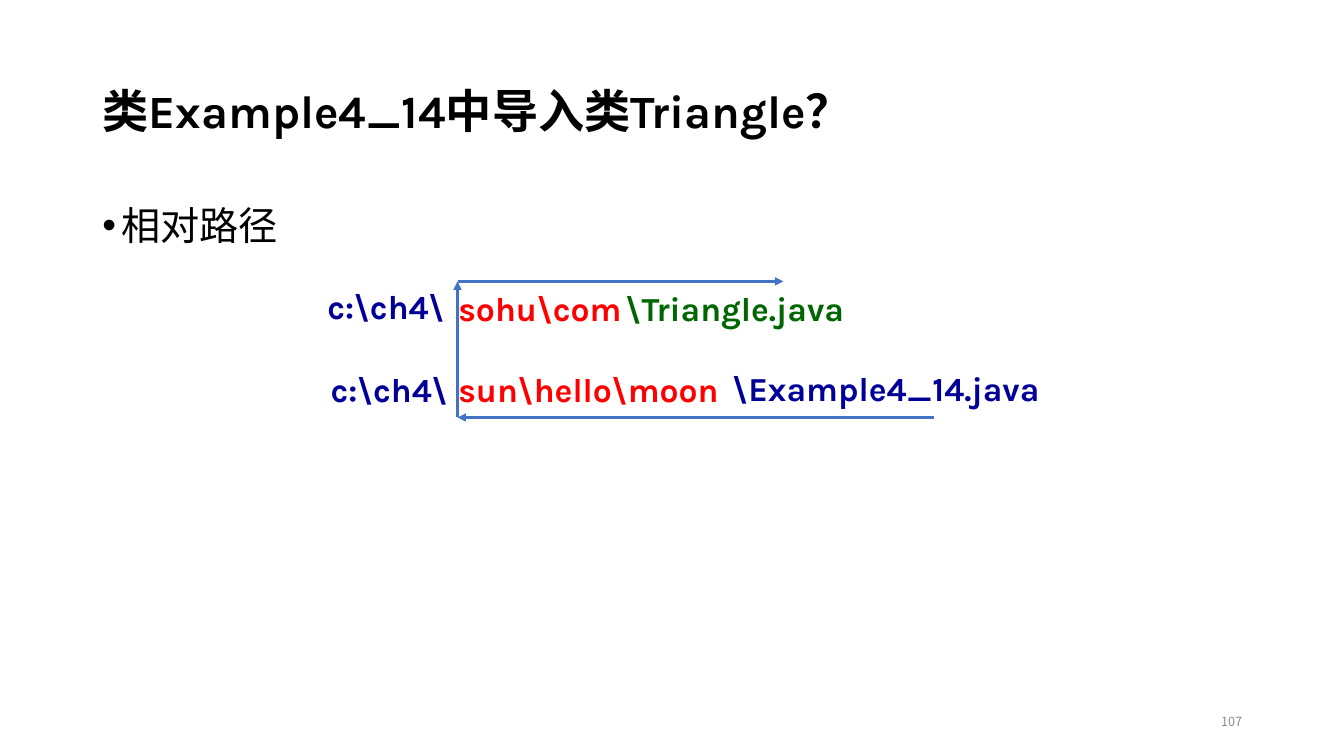
from itertools import pairwise

from pptx import Presentation
from pptx.dml.color import RGBColor
from pptx.enum.shapes import MSO_CONNECTOR
from pptx.enum.text import MSO_ANCHOR, PP_ALIGN
from pptx.oxml.ns import qn
from pptx.util import Cm, Pt
from lxml.etree import SubElement

LATIN, CHINESE = "Karla", "Noto Sans CJK SC"
BLACK, GREY, BLUE = "000000", "8C8C8C", "4472C4"
NAVY, RED, GREEN = "000099", "FF0000", "006600"


def color(code):
    return RGBColor.from_string(code)


def write(frame, text, size, code, face, bold=False):
    """Put one formatted paragraph into a text frame."""
    para = frame.paragraphs[0]
    span = para.add_run()
    span.text = text
    font = para.font
    font.name, font.size, font.bold = face, Pt(size), bold
    font.color.rgb = color(code)
    # Chinese characters take their own typeface
    SubElement(span._r.get_or_add_rPr(), qn("a:ea"), typeface=CHINESE)
    return para


def add_box(page, left, top, width, height, wrap=True):
    box = page.shapes.add_textbox(Cm(left), Cm(top), Cm(width), Cm(height))
    box.text_frame.word_wrap = wrap
    return box.text_frame


def set_indent(para, left, first=0):
    props = para._p.get_or_add_pPr()
    props.set("marL", str(Cm(left)))
    props.set("indent", str(Cm(first)))
    return props


def add_title(page, left, top, width, height):
    title = page.shapes.title
    title.left, title.top = Cm(left), Cm(top)
    title.width, title.height = Cm(width), Cm(height)
    frame = title.text_frame
    frame.vertical_anchor = MSO_ANCHOR.MIDDLE
    para = write(frame, "类Example4_14中导入类Triangle？", 33, BLACK, LATIN, True)
    para.alignment = PP_ALIGN.LEFT
    para.line_spacing = 0.9


def add_body(page, left, top, width, height):
    frame = add_box(page, left, top, width, height)
    para = frame.paragraphs[0]
    props = set_indent(para, 0.48, -0.48)
    SubElement(props, qn("a:buFont"), typeface="Arial")
    SubElement(props, qn("a:buChar"), char="•")
    write(frame, "相对路径", 28, BLACK, CHINESE)
    para.line_spacing = 0.9


def add_arrow(page, start, end):
    line = page.shapes.add_connector(
        MSO_CONNECTOR.STRAIGHT, *(Cm(value) for value in start + end))
    line.line.color.rgb = color(BLUE)
    line.line.width = Pt(2)
    SubElement(line.line._get_or_add_ln(), qn("a:tailEnd"), type="triangle")
    SubElement(line._element.spPr, qn("a:effectLst"))


def add_paths(page, left, top):
    """Two file paths, with the route from one to the other."""
    # Text, offset in the region, width, colour, indent
    parts = [
        ("c:\\ch4\\", 0, 0, 5.38, NAVY, 1.27),
        ("\\Triangle.java", 8.79, 0.05, 6.65, GREEN, 0),
        ("sohu\\com", 4.57, 0.05, 5.33, RED, 0),
        ("c:\\ch4\\", 0.08, 2.08, 5.38, NAVY, 1.27),
        ("sun\\hello\\moon", 4.57, 2.08, 7.59, RED, 0),
        ("\\Example4_14.java", 11.48, 2.06, 8.89, NAVY, 0),
    ]
    for text, across, down, width, code, indent in parts:
        frame = add_box(page, left + across, top + down, width, 1.22)
        set_indent(frame.paragraphs[0], indent)
        write(frame, text, 24, code, LATIN, True)

    # Route: back to the shared folder, up, and on to the other file
    turn, bottom = left + 4.8, top + 3.43
    route = [(left + 16.82, bottom), (turn, bottom), (turn, top), (left + 13.01, top)]
    for start, end in pairwise(route):
        add_arrow(page, start, end)


def add_page_number(page, left, top, width, height):
    frame = add_box(page, left, top, width, height)
    frame.vertical_anchor = MSO_ANCHOR.MIDDLE
    write(frame, "107", 9, GREY, CHINESE).alignment = PP_ALIGN.RIGHT


def main():
    deck = Presentation()
    deck.slide_width, deck.slide_height = Cm(33.87), Cm(19.05)
    page = deck.slides.add_slide(deck.slide_layouts[5])
    add_title(page, 2.33, 1.02, 29.21, 3.68)
    add_body(page, 2.33, 5.08, 29.21, 12.09)
    add_paths(page, 6.73, 7.09)
    add_page_number(page, 23.93, 17.66, 7.62, 1.02)
    deck.save("out.pptx")


if __name__ == "__main__":
    main()
